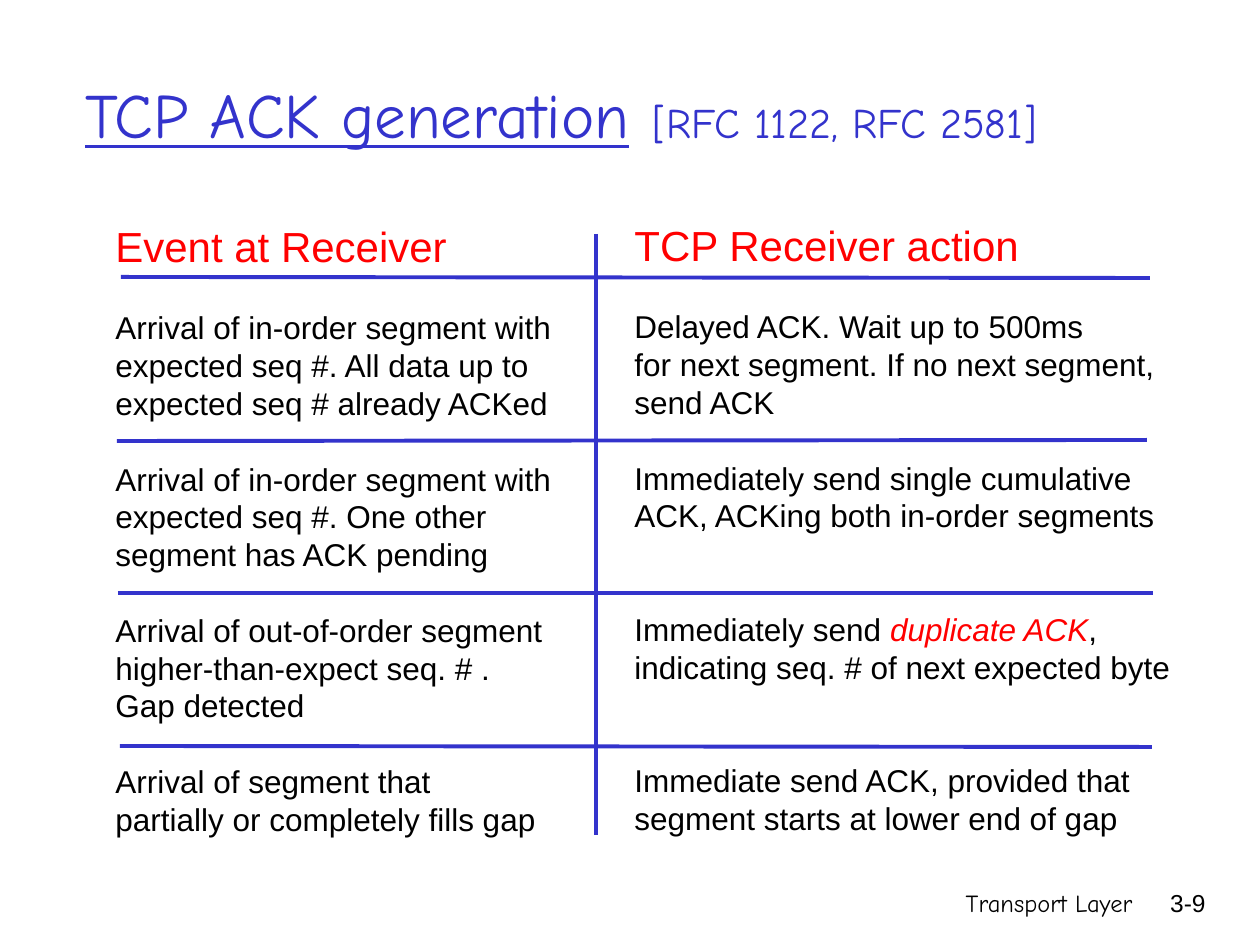
from lxml import etree
from pptx import Presentation
from pptx import util as u
from pptx.dml.color import RGBColor
from pptx.enum import shapes, text
from pptx.oxml.ns import qn

PX = 914400 / 126
COLORS = {"blue": "3333CC", "red": "FF0000", "black": "000000"}
LINE_RATIO = 1.2

HEADING = {"size": 24, "name": "Arial", "color": "red"}
BODY = {"size": 18, "name": "Arial", "color": "black"}
EMPHASIS = {**BODY, "color": "red", "italic": True}
TITLE = {"size": 36, "name": "Comic Neue", "color": "blue"}

# Each cell is (blank lines above it, its lines); a line is a string or a list of runs.
EVENTS = [
    (1, ["Arrival of in-order segment with", "expected seq #. All data up to",
         "expected seq # already ACKed"]),
    (1, ["Arrival of in-order segment with", "expected seq #. One other",
         "segment has ACK pending"]),
    (1, ["Arrival of out-of-order segment", "higher-than-expect seq. # .",
         "Gap detected"]),
    (1, ["Arrival of segment that", "partially or completely fills gap"]),
]
ACTIONS = [
    (1, ["Delayed ACK. Wait up to 500ms", "for next segment. If no next segment,",
         "send ACK"]),
    (1, ["Immediately send single cumulative", "ACK, ACKing both in-order segments"]),
    (2, [[("Immediately send ", BODY), ("duplicate ACK", EMPHASIS), (",", BODY)],
         "indicating seq. # of next expected byte"]),
    (2, ["Immediate send ACK, provided that", "segment starts at lower end of gap"]),
]


def px(value):
    return u.Emu(round(value * PX))


def add_box(slide, box, **frame_format):
    shape = slide.shapes.add_textbox(*map(px, box))
    for name, value in {"word_wrap": True, **frame_format}.items():
        setattr(shape.text_frame, name, value)
    return shape.text_frame


def add_runs(paragraph, runs):
    for words, run_format in runs:
        run = paragraph.add_run()
        run.text = words
        for name, value in run_format.items():
            if name == "color":
                run.font.color.rgb = RGBColor.from_string(COLORS[value])
            else:
                setattr(run.font, name, u.Pt(value) if name == "size" else value)


def add_title(slide, box):
    frame = add_box(slide, box, vertical_anchor=text.MSO_ANCHOR.MIDDLE)
    add_runs(frame.paragraphs[0], [
        ("TCP ACK generation", {**TITLE, "underline": True}),
        (" ", {**TITLE, "size": 40}),
        ("[RFC 1122, RFC 2581]", {**TITLE, "size": 24}),
    ])


def add_column(slide, box, heading, cells):
    frame = add_box(slide, box, word_wrap=False,
                    auto_size=text.MSO_AUTO_SIZE.SHAPE_TO_FIT_TEXT)
    paragraph = frame.paragraphs[0]
    paragraph.line_spacing = u.Pt(HEADING["size"] * LINE_RATIO)
    add_runs(paragraph, [(heading, HEADING)])
    pitch = BODY["size"] * LINE_RATIO
    for blank_lines, lines in cells:
        for index, line in enumerate(lines):
            paragraph = frame.add_paragraph()
            paragraph.line_spacing = u.Pt(pitch)
            paragraph.space_before = u.Pt(0 if index else blank_lines * pitch)
            add_runs(paragraph, [(line, BODY)] if isinstance(line, str) else line)


def add_rule(slide, start, end):
    line = slide.shapes.add_connector(
        shapes.MSO_CONNECTOR.STRAIGHT, *map(px, (*start, *end)))
    line.line.color.rgb = RGBColor.from_string(COLORS["blue"])
    line.line.width = u.Pt(2.25)
    etree.SubElement(line._element.spPr, qn("a:effectLst"))


def add_comparison(slide, box):
    """Two text columns, with slightly uneven hand-drawn rules between the cells."""
    left, top, width, height = box
    add_column(slide, (left, top + 1, 461, height - 1), "Event at Receiver", EVENTS)
    add_column(slide, (left + 519, top, 561, height - 1), "TCP Receiver action", ACTIONS)
    for start_x, start_y, end_x, end_y in [(18, 64, 1047, 65), (14, 228, 1044, 227),
                                           (15, 380, 1050, 380), (17, 533, 1049, 534)]:
        add_rule(slide, (left + start_x, top + start_y), (left + end_x, top + end_y))
    add_rule(slide, (left + 493, top + 21), (left + 493, top + 622))


def add_footer(slide, box):
    left, top, width, height = box
    number_width = 93
    for words, font, part in [
        ("Transport Layer", "Comic Neue", (left, top, 399, height)),
        ("3-9", "Arial", (left + width - number_width, top, number_width, height)),
    ]:
        paragraph = add_box(slide, part).paragraphs[0]
        paragraph.alignment = text.PP_ALIGN.RIGHT
        add_runs(paragraph, [(words, {"size": 14, "name": font, "color": "black"})])


def main():
    presentation = Presentation()
    presentation.slide_width, presentation.slide_height = px(1260), px(945)
    slide = presentation.slides.add_slide(presentation.slide_layouts[6])
    add_title(slide, (73, 32, 1071, 158))
    add_comparison(slide, (103, 213, 1080, 706))
    add_footer(slide, (746, 882, 472, 63))
    presentation.save("out.pptx")


if __name__ == "__main__":
    main()
